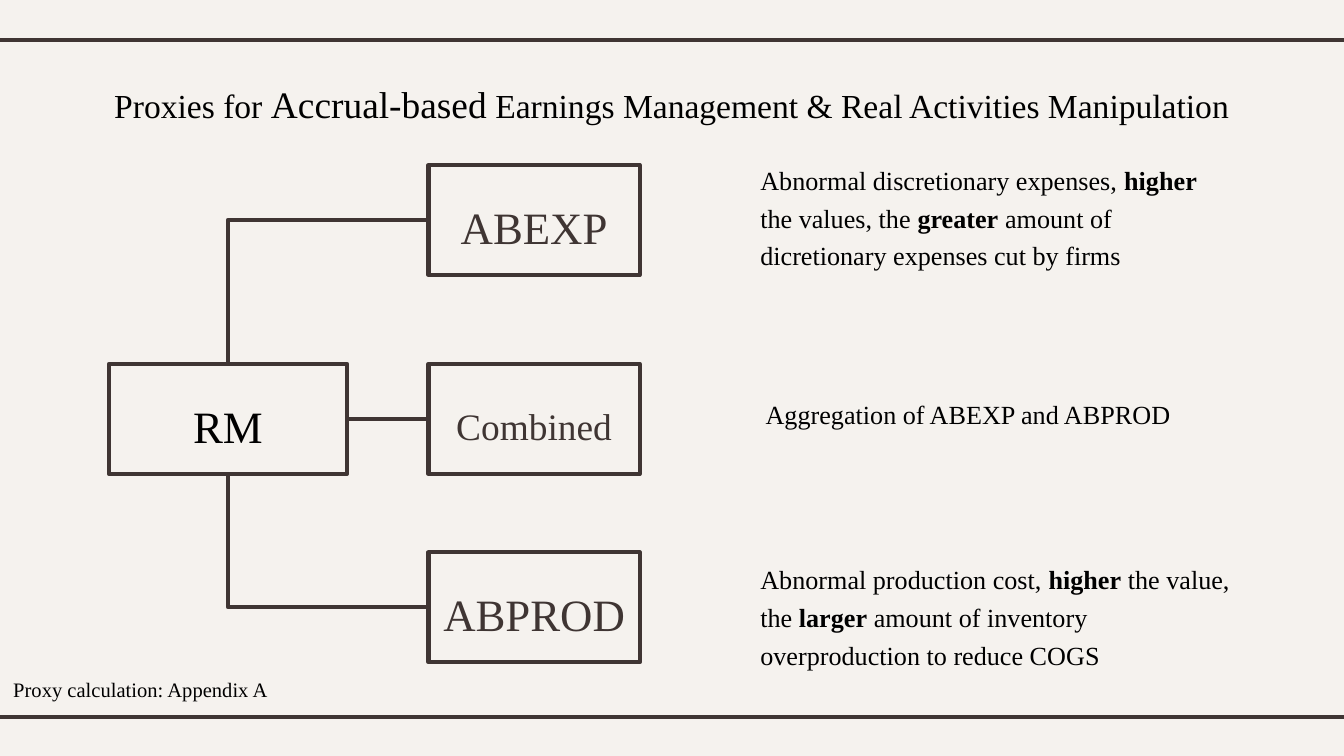
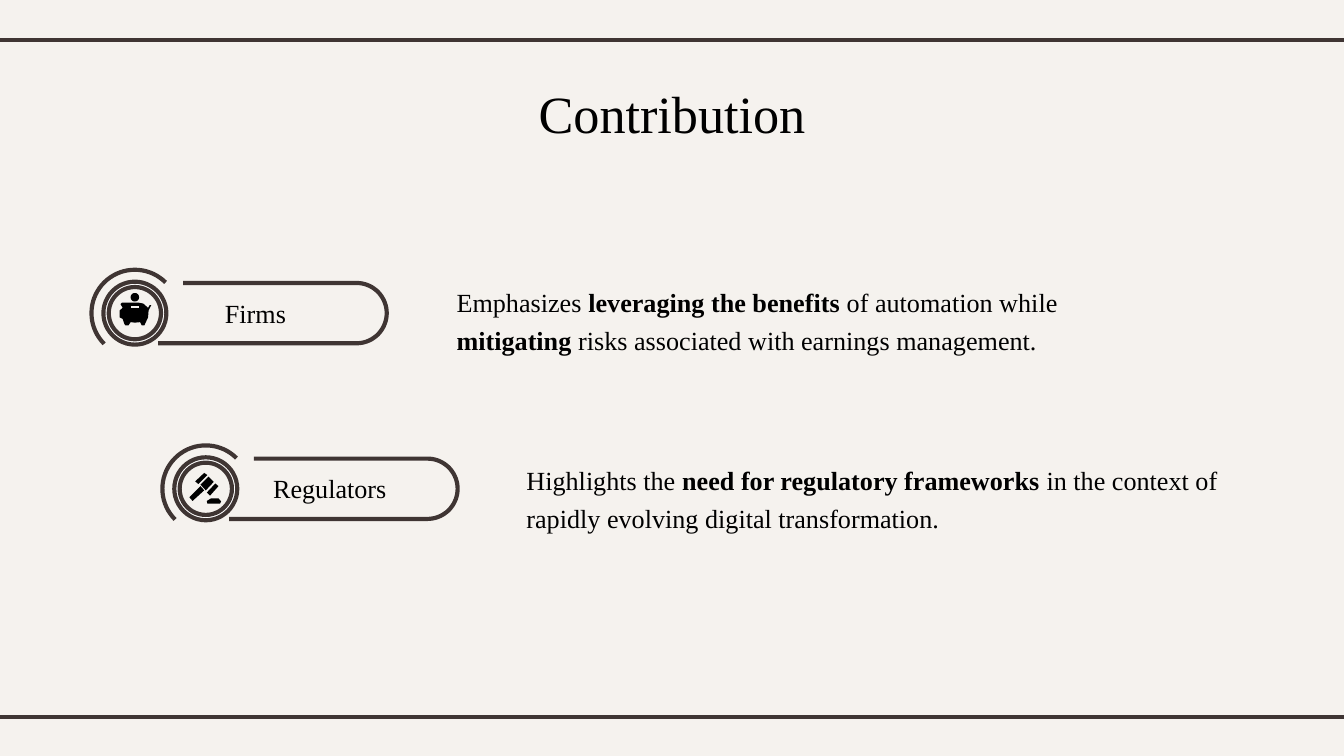
from math import cos, radians, sin

from lxml.etree import SubElement
from pptx import Presentation
from pptx.dml.color import RGBColor
from pptx.enum.shapes import MSO_CONNECTOR, MSO_SHAPE
from pptx.enum.text import MSO_ANCHOR, MSO_AUTO_SIZE, PP_ALIGN
from pptx.oxml.ns import qn
from pptx.util import Cm, Pt

# Shared style
FONT = "Times New Roman"
PAPER, BROWN, BLACK, WHITE = "F5F2EE", "3F3533", "000000", "FFFFFF"
LINE_WIDTH = 2.25
BODY_SIZE = 14
BAND_TOPS = (0.76, 13.55)

# Slide 1: text between asterisks is bold
PROXY_TITLE = [
    ("Proxies for ", 18),
    ("Accrual-based", 20),
    (" Earnings Management & Real Activities Manipulation", 18),
]
ROOT = ("RM", 24)
# name, size, box top, description, its left, top and height
PROXIES = [
    ("ABEXP", 24, 3.12,
     "Abnormal discretionary expenses, *higher* the values, the *greater*"
     " amount of dicretionary expenses cut by firms", 14.12, 2.74, 2.72),
    ("Combined", 20, 6.88,
     "Aggregation of ABEXP and ABPROD", 14.22, 7.16, 1.5),
    ("ABPROD", 24, 10.44,
     "Abnormal production cost, *higher* the value, the *larger* amount of"
     " inventory overproduction to reduce COGS", 14.12, 10.29, 2.39),
]
APPENDIX_NOTE = "Proxy calculation: Appendix A"

ROOT_LEFT, ROOT_TOP, ROOT_WIDTH = 2.06, 6.88, 4.5
PROXY_LEFT, PROXY_WIDTH, BOX_HEIGHT = 8.1, 3.99, 2.08


def circle_arc(x, y, radius, start, end, step=5):
    """Points on an arc, angles in degrees, clockwise from the right."""
    return [(x + radius * cos(radians(angle)), y + radius * sin(radians(angle)))
            for angle in range(start, end + 1, step)]


# Slide 2: icons are outlines in cm around the badge centre
PIGGY_BANK = [
    (BLACK, [(-0.24, -0.2), (-0.27, -0.17), (-0.23, -0.1), (-0.29, -0.05),
             (-0.29, 0.08), (-0.23, 0.11), (-0.2, 0.2), (-0.18, 0.23),
             (-0.12, 0.23), (-0.08, 0.17), (0, 0.18), (0.1, 0.17),
             (0.13, 0.23), (0.18, 0.23), (0.25, 0.08), (0.26, -0.05),
             (0.31, -0.15), (0.28, -0.15), (0.25, -0.1), (0.16, -0.18),
             (0.06, -0.2)]),
    (PAPER, [(-0.08, -0.13), (0.08, -0.13), (0.08, -0.09), (-0.08, -0.09)]),
    (BLACK, circle_arc(0, -0.3, 0.08, 0, 350, 10)),
]
GAVEL = [
    (BLACK, [(-0.03, -0.3), (-0.2, -0.14), (-0.14, -0.09), (0.03, -0.26)]),
    (BLACK, [(0.18, -0.1), (0.02, 0.07), (0.08, 0.13), (0.24, -0.05)]),
    (BLACK, [(0.05, -0.23), (-0.1, -0.08), (0, 0.03), (0.15, -0.13)]),
    (BLACK, [(-0.1, -0.05), (-0.31, 0.16), (-0.25, 0.23), (-0.03, 0.03)]),
    (BLACK, [(0.1, 0.18), (0.24, 0.18), (0.29, 0.24), (0.27, 0.28),
             (0.03, 0.28), (0.02, 0.23)]),
]
# name, label width, icon, badge centre, description, its place
CONTRIBUTIONS = [
    ("Firms", 3.38, PIGGY_BANK, (2.55, 5.92),
     "Emphasizes *leveraging the benefits *of automation while *mitigating*"
     " risks associated with earnings management.", (8.38, 5.05, 12.55, 1.6)),
    ("Regulators", 3.51, GAVEL, (3.89, 9.24),
     "Highlights the *need for regulatory frameworks *in the context of"
     " rapidly evolving digital transformation.", (9.7, 8.41, 14.96, 1.68)),
]


def colour(value):
    return RGBColor.from_string(value)


def rich(text, size):
    return [(part, size, number % 2 == 1)
            for number, part in enumerate(text.split("*"))]


def write(frame, spans, ink=BLACK, align=PP_ALIGN.LEFT):
    para = frame.paragraphs[0]
    para.alignment = align
    for text, size, *bold in spans:
        span = para.add_run()
        span.text = text
        span.font.name = FONT
        span.font.size = Pt(size)
        span.font.bold = any(bold)
        span.font.color.rgb = colour(ink)
    return para


def style(shape, fill=None, line=BROWN):
    shape.shadow.inherit = False
    if fill:
        shape.fill.solid()
        shape.fill.fore_color.rgb = colour(fill)
    else:
        shape.fill.background()
    if line:
        shape.line.color.rgb = colour(line)
        shape.line.width = Pt(LINE_WIDTH)
    else:
        shape.line.fill.background()


def add_text(shapes, place, spans, align=PP_ALIGN.LEFT):
    box = shapes.add_textbox(*map(Cm, place))
    box.text_frame.word_wrap = True
    return box, write(box.text_frame, spans, align=align)


def add_description(page, text, place):
    box, para = add_text(page.shapes, place, rich(text, BODY_SIZE))
    box.text_frame.margin_top = box.text_frame.margin_bottom = Cm(0.25)
    para.line_spacing = 1.2
    para.space_after = Pt(12)


def add_line(page, kind, start, end):
    line = page.shapes.add_connector(kind, *map(Cm, start + end))
    line.line.color.rgb = colour(BROWN)
    line.line.width = Pt(LINE_WIDTH)
    SubElement(line.element.spPr, qn("a:effectLst"))
    return line


def add_outline(shapes, points, closed=False, **look):
    corners = [(Cm(x), Cm(y)) for x, y in points]
    builder = shapes.build_freeform(*corners[0])
    builder.add_line_segments(corners[1:], close=closed)
    style(builder.convert_to_shape(), **look)


def add_page(deck, title):
    page = deck.slides.add_slide(deck.slide_layouts[5])
    holder = page.shapes.title
    holder.left, holder.top, holder.width, holder.height = map(
        Cm, (0.84, 1.19, 23.72, 1.6))
    frame = holder.text_frame
    frame.auto_size = MSO_AUTO_SIZE.NONE
    frame.vertical_anchor = MSO_ANCHOR.TOP
    frame.margin_top = Cm(0.35)
    write(frame, title, align=PP_ALIGN.CENTER)
    return page


def add_bands(deck, page):
    """Draw the bands and move them to the master, where all pages show them."""
    for top in BAND_TOPS:
        band = add_line(page, MSO_CONNECTOR.STRAIGHT, (-0.2, top), (25.6, top))
        deck.slide_master.shapes.element.append(band.element)


def add_box(page, left, top, width, spans, ink):
    box = page.shapes.add_shape(
        MSO_SHAPE.RECTANGLE, *map(Cm, (left, top, width, BOX_HEIGHT)))
    style(box)
    frame = box.text_frame
    frame.vertical_anchor = MSO_ANCHOR.MIDDLE
    frame.margin_top, frame.margin_bottom = Cm(0.25), 0
    write(frame, spans, ink, PP_ALIGN.CENTER)


def join_to_root(page, top):
    """Link a proxy box to the root: straight if level, else by one bend."""
    side = (PROXY_LEFT, top + BOX_HEIGHT / 2)
    if top == ROOT_TOP:
        add_line(page, MSO_CONNECTOR.STRAIGHT, (ROOT_LEFT + ROOT_WIDTH, side[1]), side)
        return
    edge = ROOT_TOP if top < ROOT_TOP else ROOT_TOP + BOX_HEIGHT
    link = add_line(page, MSO_CONNECTOR.ELBOW, side, (ROOT_LEFT + ROOT_WIDTH / 2, edge))
    bend = link.element.spPr.find(qn("a:prstGeom")).get_or_add_avLst()
    SubElement(bend, qn("a:gd"), name="adj1", fmla="val 100000")


def fill_proxies(page):
    add_box(page, ROOT_LEFT, ROOT_TOP, ROOT_WIDTH, [ROOT], BLACK)
    for name, size, top, text, left, text_top, height in PROXIES:
        join_to_root(page, top)
        add_box(page, PROXY_LEFT, top, PROXY_WIDTH, [(name, size)], BROWN)
        add_description(page, text, (left, text_top, 9.44, height))
    add_text(page.shapes, (0, 12.67, 7.7, 0.74), [(APPENDIX_NOTE, 11)])


def add_badge(page, name, label_width, icon, centre):
    shapes = page.shapes.add_group_shape().shapes
    x, y = centre
    # Pill, open on the left
    radius, ring = 0.57, 1.19
    cap = circle_arc(x + 4.19, y, radius, -90, 90)
    add_outline(shapes, [(x + 0.91, y - radius), *cap, (x + 0.44, y + radius)])
    # Ring with its half circle
    donut = shapes.add_shape(
        MSO_SHAPE.DONUT, *map(Cm, (x - ring / 2, y - ring / 2, ring, ring)))
    donut.adjustments[0] = 0.085
    style(donut, fill=WHITE)
    add_outline(shapes, circle_arc(x, y, 0.82, 135, 315))
    # Icon and label
    for ink, points in icon:
        add_outline(shapes, [(x + dx, y + dy) for dx, dy in points],
                    closed=True, fill=ink, line=None)
    add_text(shapes, (x + 0.59, y - 0.43, label_width, 0.86),
             [(name, BODY_SIZE)], PP_ALIGN.CENTER)


def fill_contributions(page):
    for name, label_width, icon, centre, text, place in CONTRIBUTIONS:
        add_badge(page, name, label_width, icon, centre)
        add_description(page, text, place)


def main():
    deck = Presentation()
    deck.slide_width, deck.slide_height = Cm(25.4), Cm(14.29)
    background = deck.slide_master.background.fill
    background.solid()
    background.fore_color.rgb = colour(PAPER)

    proxies = add_page(deck, PROXY_TITLE)
    add_bands(deck, proxies)
    fill_proxies(proxies)
    fill_contributions(add_page(deck, [("Contribution", 28)]))
    deck.save("out.pptx")


if __name__ == "__main__":
    main()
